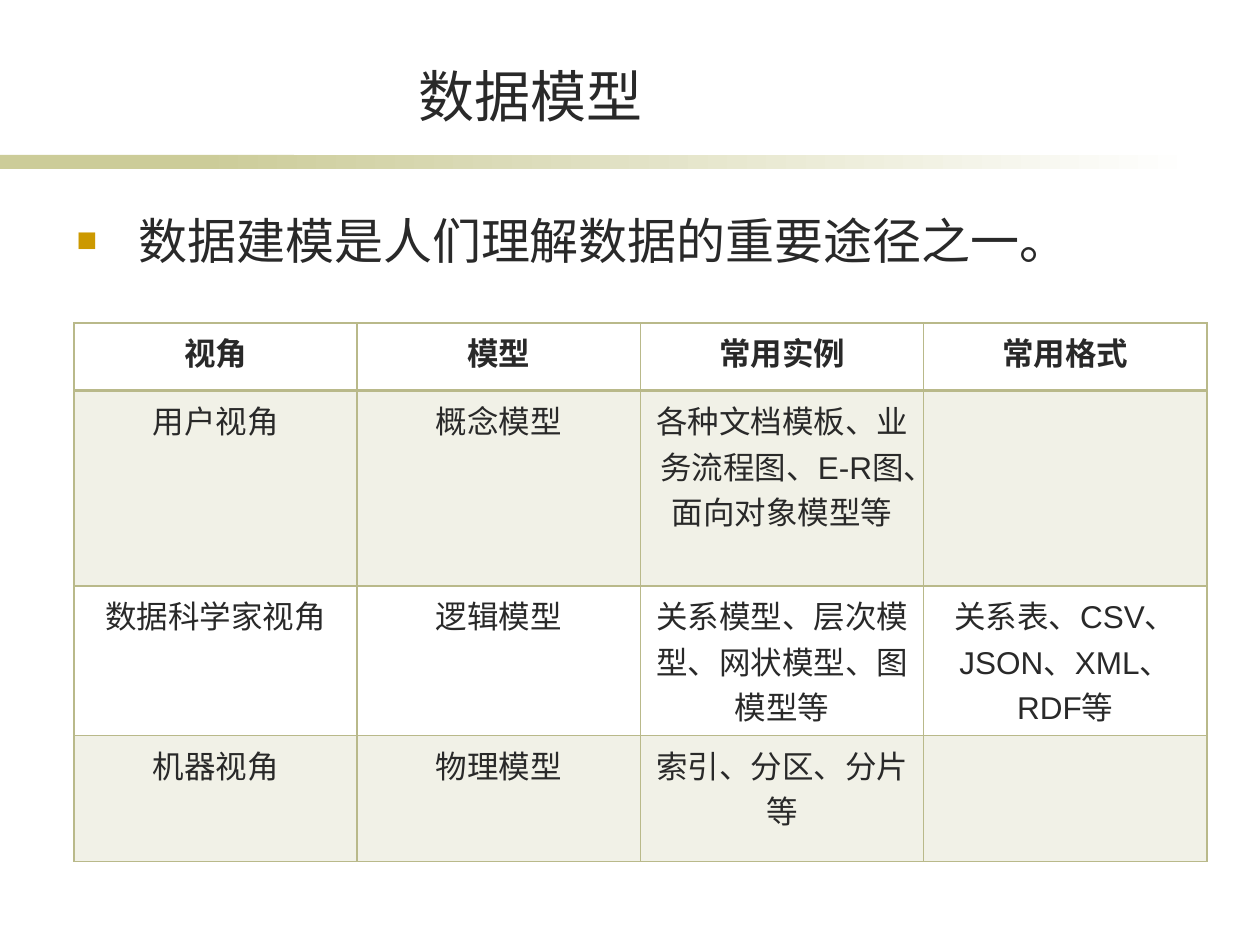
import pptx
import pptx.util
import pptx.dml.color
import pptx.enum.text
import pptx.enum.shapes
import pptx.oxml
import pptx.oxml.ns

RGB = pptx.dml.color.RGBColor
INK = RGB(0x29, 0x29, 0x29)
SAND = RGB(0xCC, 0xCC, 0x99)
WHITE = RGB(0xFF, 0xFF, 0xFF)
GOLD = RGB(0xCC, 0x99, 0x00)
OLIVE = RGB(0xB9, 0xB9, 0x8A)
ALIGN = pptx.enum.text.PP_ALIGN
ANCHOR = pptx.enum.text.MSO_ANCHOR
NS = pptx.oxml.ns.nsdecls("a")
SCALE = 914400 / 126

ROWS = [
    ["视角", "模型", "常用实例", "常用格式"],
    ["用户视角", "概念模型", "各种文档模板、业务流程图、E-R图、面向对象模型等", ""],
    ["数据科学家视角", "逻辑模型", "关系模型、层次模型、网状模型、图模型等", "关系表、CSV、JSON、XML、RDF等"],
    ["机器视角", "物理模型", "索引、分区、分片等", ""],
]


def emu(px):
    """Turn px into EMU."""
    return pptx.util.Emu(round(px * SCALE))


def put(item, **form):
    """Set attributes of an item from format values."""
    for name, value in form.items():
        setattr(item, name, value)


def place(shape, box):
    """Move a shape to a box in px."""
    put(shape, **dict(zip(("left", "top", "width", "height"), map(emu, box))))


def style(para, size, bold=False):
    """Format the font of a paragraph."""
    put(para.font, name="Arial", size=pptx.util.Pt(size), bold=bold)
    para.font.color.rgb = INK


def add_bar(slide, box):
    """Draw the rule under the title, solid and then fading out."""
    x, y, w, h = box
    for left, wide, fade in ((x, 294, False), (x + 199, w - 199, True)):
        bar = slide.shapes.add_shape(
            pptx.enum.shapes.MSO_SHAPE.RECTANGLE, *map(emu, (left, y, wide, h)))
        bar.shadow.inherit = False
        bar.line.fill.background()
        if fade:
            bar.fill.gradient()
            bar.fill.gradient_angle = 0
            for stop, color in zip(bar.fill.gradient_stops, (SAND, WHITE)):
                stop.color.rgb = color
        else:
            bar.fill.solid()
            bar.fill.fore_color.rgb = SAND


def add_title(slide, box):
    """Fill the title placeholder."""
    title = slide.shapes.title
    place(title, box)
    frame = title.text_frame
    put(frame, text="数据模型", vertical_anchor=ANCHOR.BOTTOM, word_wrap=True,
        auto_size=pptx.enum.text.MSO_AUTO_SIZE.NONE)
    frame.paragraphs[0].alignment = ALIGN.CENTER
    style(frame.paragraphs[0], 32)


def add_body(slide, box):
    """Fill the body placeholder with its bullet."""
    body = slide.placeholders[1]
    place(body, box)
    frame = body.text_frame
    put(frame, text="数据建模是人们理解数据的重要途径之一。", word_wrap=True,
        auto_size=pptx.enum.text.MSO_AUTO_SIZE.NONE)
    para = frame.paragraphs[0]
    para.space_before = pptx.util.Pt(0)
    props = para._p.get_or_add_pPr()
    props.set("marL", str(emu(62)))
    props.set("indent", str(-emu(62)))
    for part in (f'<a:buClr {NS}><a:srgbClr val="{GOLD}"/></a:buClr>',
                 f'<a:buSzPct {NS} val="70000"/>',
                 f'<a:buFont {NS} typeface="Arial"/>',
                 f'<a:buChar {NS} char="■"/>'):
        props.append(pptx.oxml.parse_xml(part))
    style(para, 28)


def edge(cell, side, points):
    """Add one border line to a cell."""
    cell._tc.get_or_add_tcPr().append(pptx.oxml.parse_xml(
        f'<a:ln{side} {NS} w="{points * 12700}"><a:solidFill>'
        f'<a:srgbClr val="{OLIVE}"/></a:solidFill></a:ln{side}>'))


def shade(cell, tint):
    """Fill a cell with a faint tint or leave it clear."""
    if not tint:
        cell.fill.background()
        return
    cell.fill.solid()
    cell.fill.fore_color.rgb = OLIVE
    color = cell._tc.tcPr.find(".//" + pptx.oxml.ns.qn("a:solidFill") + "[last()]")
    color = cell._tc.tcPr.find(pptx.oxml.ns.qn("a:solidFill"))[0]
    color.append(pptx.oxml.parse_xml(f'<a:alpha {NS} val="20000"/>'))


def add_grid(slide, box):
    """Build the table of models."""
    grid = slide.shapes.add_table(len(ROWS), len(ROWS[0]), *map(emu, box)).table
    put(grid, first_row=False, horz_banding=False)
    head = 68
    for row in grid.rows:
        row.height = emu((box[3] - head) / (len(ROWS) - 1))
    grid.rows[0].height = emu(head)
    for i, row in enumerate(ROWS):
        for j, text in enumerate(row):
            cell = grid.cell(i, j)
            cell.text = text
            para = cell.text_frame.paragraphs[0]
            para.alignment = ALIGN.CENTER
            style(para, 18, i == 0)
            for side in "LRTB":
                edge(cell, side, 2 if (i, side) in ((0, "B"), (1, "T")) else 1)
            shade(cell, i % 2)


def main():
    """Build and save the slide."""
    deck = pptx.Presentation()
    put(deck, slide_width=emu(1260), slide_height=emu(945))
    slide = deck.slides.add_slide(deck.slide_layouts[1])
    add_bar(slide, (0, 155, 1197, 14))
    add_title(slide, (144, 55, 774, 80))
    add_body(slide, (64, 204, 1121, 605))
    add_grid(slide, (74, 323, 1133, 446))
    deck.save("out.pptx")


if __name__ == "__main__":
    main()
